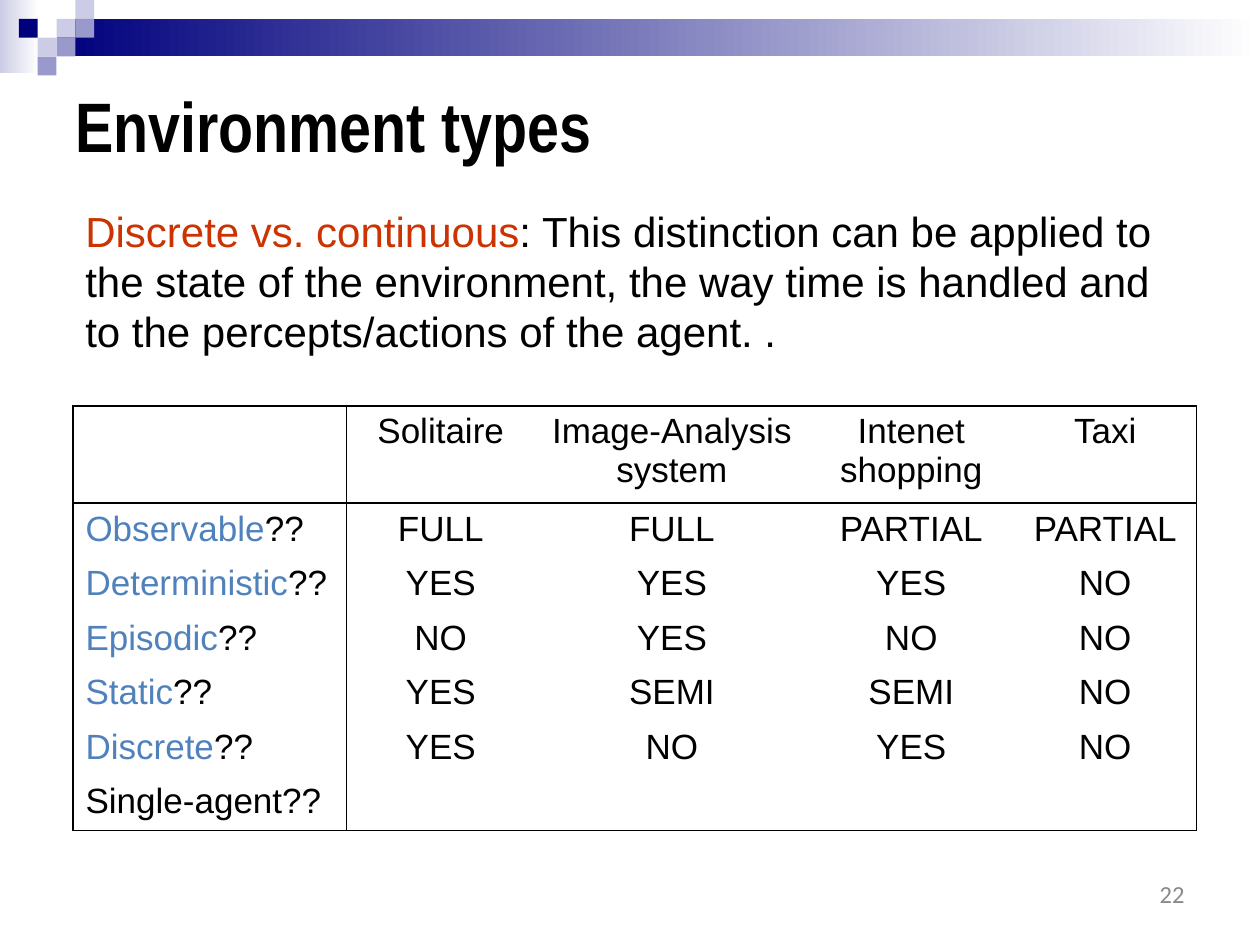
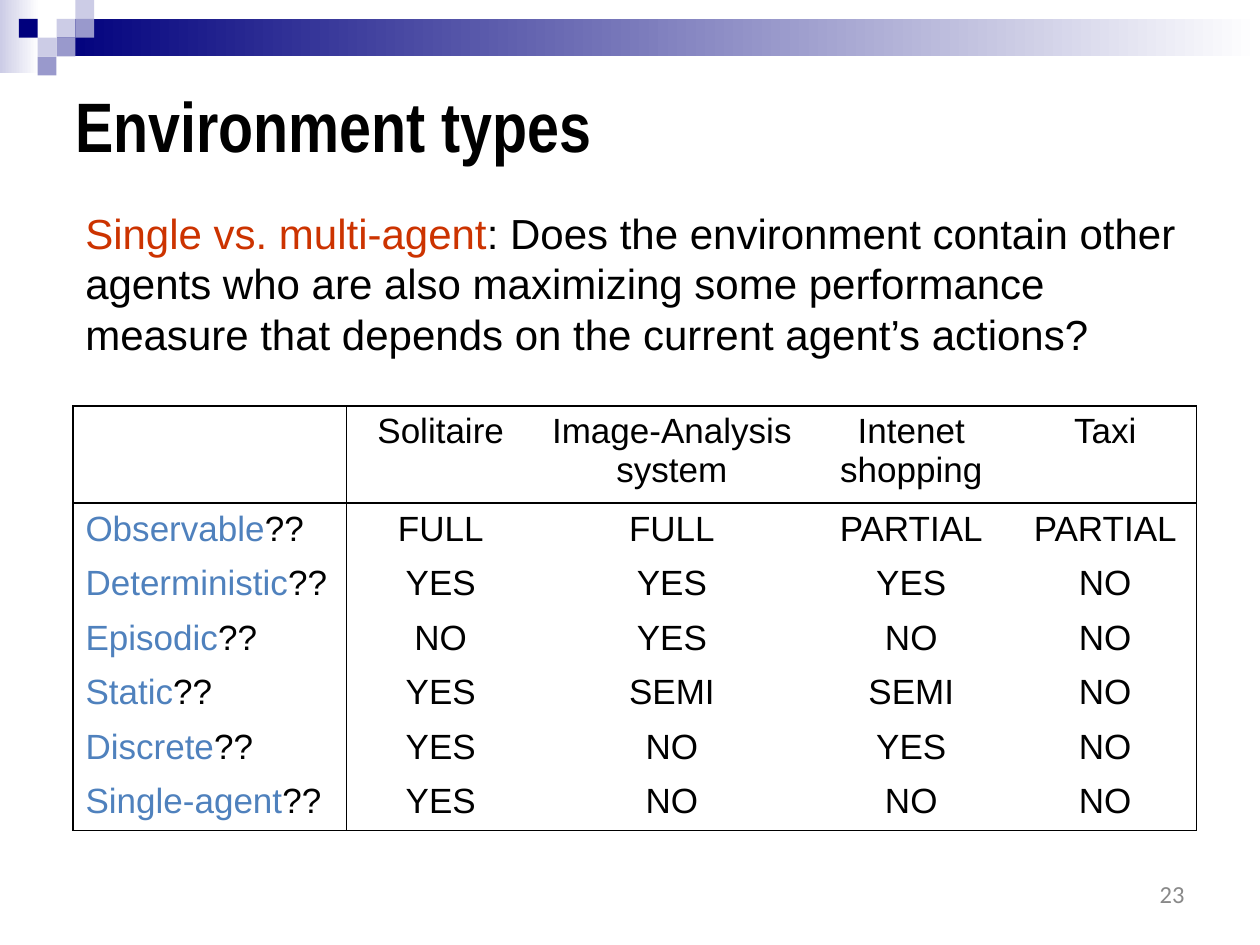
import pptx
import pptx.dml.color
import pptx.enum.shapes
import pptx.enum.text
import pptx.oxml
import pptx.oxml.ns
import pptx.util
from pptx.util import Cm, Pt

# Content
TITLE = "Environment types"
FIRST_NUMBER = 22
HEADINGS = ["", "Solitaire", "Image-Analysis system", "Intenet shopping", "Taxi"]
PROPERTIES = [
    ("Observable", "FULL", "FULL", "PARTIAL", "PARTIAL"),
    ("Deterministic", "YES", "YES", "YES", "NO"),
    ("Episodic", "NO", "YES", "NO", "NO"),
    ("Static", "YES", "SEMI", "SEMI", "NO"),
    ("Discrete", "YES", "NO", "YES", "NO"),
    ("Single-agent", "YES", "NO", "NO", "NO"),
]
# Term, explanation, top of the text in cm, number of properties answered
PAGES = [
    ("Discrete vs. continuous",
     ": This distinction can be applied to the state of the environment, the way "
     "time is handled and to the percepts/actions of the agent. .", 4.01, 5),
    ("Single vs. multi-agent",
     ": Does the environment contain other agents who are also maximizing some "
     "performance measure that depends on the current agent’s actions?", 4.06, 6),
]

# Shared look
BLACK, WHITE, GREY = "000000", "FFFFFF", "898989"
NAVY, LILAC, VIOLET = "00007D", "CCCCE6", "9999CC"
BLUE, RED = "4F81BD", "CC3300"
UNIT = 0.38  # side of a header square, cm
BANDS = [(0, 0, 0.79, 1.47, LILAC), (1.14, UNIT, 24.26, 2 * UNIT, NAVY)]
SQUARES = [(3, 1, LILAC), (4, 0, LILAC), (4, 1, VIOLET), (2, 2, LILAC),
           (1, 1, NAVY), (3, 2, VIOLET), (2, 3, VIOLET)]  # column, row, colour
LEFT, WIDTH = 1.47, 22.66
COLUMNS = [5.51, 3.81, 5.51, 4.14, 3.68]
HEAD_HEIGHT, ROW_HEIGHT = 1.96, 1.1
ALIGN = pptx.enum.text.PP_ALIGN
MIDDLE = pptx.enum.text.MSO_ANCHOR.MIDDLE


def colour(code):
    return pptx.dml.color.RGBColor.from_string(code)


def style(para, size, name="Arial", code=BLACK, align=ALIGN.LEFT, bold=False):
    para.alignment = align
    para.font.size, para.font.name, para.font.bold = Pt(size), name, bold
    para.font.color.rgb = colour(code)


def add_spans(para, spans):
    for text, code in spans:
        span = para.add_run()
        span.text = text
        span.font.color.rgb = colour(code)


def add_box(page, left, top, width, height):
    box = page.shapes.add_textbox(Cm(left), Cm(top), Cm(width), Cm(height))
    box.text_frame.word_wrap = True
    return box.text_frame


def add_block(page, left, top, width, height):
    block = page.shapes.add_shape(pptx.enum.shapes.MSO_SHAPE.RECTANGLE,
                                  Cm(left), Cm(top), Cm(width), Cm(height))
    block.shadow.inherit = False
    block.line.fill.background()
    return block


def decorate(page, layout):
    """Draw the header blocks and hand them to the layout, for all pages."""
    blocks = []
    for left, top, width, height, code in BANDS:
        block = add_block(page, left, top, width, height)
        block.fill.gradient()
        block.fill.gradient_angle = 0
        for stop, stop_code in zip(block.fill.gradient_stops, (code, WHITE)):
            stop.color.rgb = colour(stop_code)
        blocks.append(block)
    for column, row, code in SQUARES:
        block = add_block(page, column * UNIT, row * UNIT, UNIT, UNIT)
        block.fill.solid()
        block.fill.fore_color.rgb = colour(code)
        blocks.append(block)
    for block in blocks:
        layout.shapes.element.append(block.element)


def set_borders(cell, sides):
    """Black lines on the given sides (of L, R, T, B), none on the others."""
    for place, side in enumerate("LRTB"):
        paint = (f'<a:solidFill><a:srgbClr val="{BLACK}"/></a:solidFill>'
                 if side in sides else "<a:noFill/>")
        line = pptx.oxml.parse_xml(
            f'<a:ln{side} {pptx.oxml.ns.nsdecls("a")} w="{Pt(1)}">{paint}</a:ln{side}>')
        cell._tc.get_or_add_tcPr().insert(place, line)


def add_table(page, answered):
    rows = len(PROPERTIES) + 1
    table = page.shapes.add_table(
        rows, len(COLUMNS), Cm(LEFT), Cm(8.18), Cm(WIDTH),
        Cm(HEAD_HEIGHT + ROW_HEIGHT * len(PROPERTIES))).table
    table.first_row = table.horz_banding = False
    for column, width in zip(table.columns, COLUMNS):
        column.width = Cm(width)
    for r, values in enumerate([HEADINGS] + PROPERTIES):
        table.rows[r].height = Cm(ROW_HEIGHT if r else HEAD_HEIGHT)
        for c, value in enumerate(values):
            cell = table.cell(r, c)
            cell.fill.background()
            # Frame, plus a rule below the headings and one after the first column
            edges = {"L": c < 2, "R": c in (0, len(COLUMNS) - 1),
                     "T": r < 2, "B": r in (0, rows - 1)}
            set_borders(cell, [side for side, drawn in edges.items() if drawn])
            para = cell.text_frame.paragraphs[0]
            style(para, 20, align=ALIGN.CENTER if c else ALIGN.LEFT)
            if r and c == 0:
                if r <= answered:
                    add_spans(para, [(value, BLUE), ("??", BLACK)])
                else:
                    para.text = value + "??"
            elif r <= answered and value:
                para.text = value


# Build the pages
deck = pptx.Presentation()
deck.slide_width, deck.slide_height = Cm(25.4), Cm(19.05)
layout = deck.slide_layouts.get_by_name("Title Only")

for number, (term, explanation, top, answered) in enumerate(PAGES, FIRST_NUMBER):
    page = deck.slides.add_slide(layout)
    if number == FIRST_NUMBER:
        decorate(page, layout)

    title = page.shapes.title
    title.left, title.top, title.width, title.height = Cm(1.27), Cm(1.17), Cm(22.86), Cm(2.67)
    title.text_frame.text = TITLE
    title.text_frame.vertical_anchor = MIDDLE
    style(title.text_frame.paragraphs[0], 40, "Arial Narrow", bold=True)

    add_table(page, answered)

    para = add_box(page, LEFT, top, WIDTH, 3.33).paragraphs[0]
    style(para, 24)
    add_spans(para, [(term, RED), (explanation, BLACK)])

    footer = add_box(page, 18.21, 17.58, 5.92, 0.89)
    footer.vertical_anchor = MIDDLE
    footer.text = str(number)
    style(footer.paragraphs[0], 14, "Calibri", GREY, ALIGN.RIGHT)

deck.save("out.pptx")
